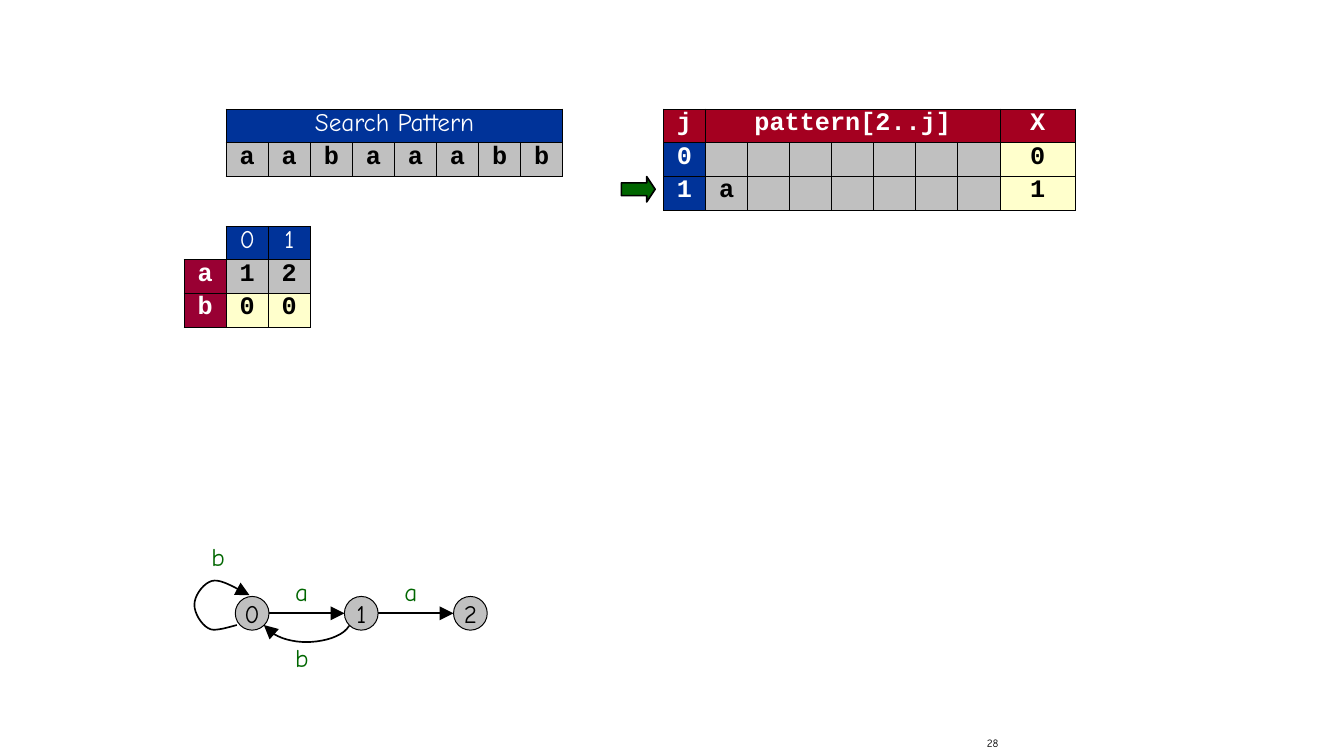
"""Builds a slide on constructing a string-matching automaton."""
from lxml.etree import SubElement
from pptx import Presentation
from pptx.dml.color import RGBColor
from pptx.enum.shapes import MSO_CONNECTOR, MSO_SHAPE
from pptx.enum.text import MSO_ANCHOR, PP_ALIGN
from pptx.oxml import parse_xml
from pptx.oxml.ns import nsdecls, qn
from pptx.util import Cm, Pt

COLORS = {
    "black": "000000", "white": "FFFFFF", "blue": "003399", "grey": "C0C0C0",
    "cream": "FFFFCC", "maroon": "990033", "crimson": "A40020", "green": "006600",
}
HAND, CODE = "Comic Neue", "Courier New"
CELL_STYLES = {
    "title": ("blue", "white", HAND),
    "header": ("crimson", "white", CODE),
    "letter": ("maroon", "white", CODE),
    "index": ("blue", "white", CODE),
    "match": ("grey", "black", CODE),
    "value": ("cream", "black", CODE),
}
NO_TABLE_STYLE = "{2D5ABB26-0587-4C30-8999-92F81FD0307C}"
COLUMN, ROW = 1.06, 0.85
STATE_LEFT, STATE_TOP, STATE_SIZE, STATE_STEP = 5.93, 15.03, 0.85, 2.75


def color(name):
    return RGBColor.from_string(COLORS[name])


class Board:
    def __init__(self, page):
        self.page = page

    def set_text(self, holder, text, ink, font=HAND, size=18, align=PP_ALIGN.CENTER):
        para = holder.text_frame.paragraphs[0]
        para.text = text
        para.alignment = align
        para.font.name = font
        para.font.size = Pt(size)
        para.font.bold = font == CODE
        para.font.color.rgb = color(ink)
        return para

    def clear_margins(self, holder):
        holder.margin_left = holder.margin_right = 0
        holder.margin_top = holder.margin_bottom = 0

    def label(self, text, left, top, width, height, ink="green", size=18):
        box = self.page.shapes.add_textbox(Cm(left), Cm(top), Cm(width), Cm(height))
        self.clear_margins(box.text_frame)
        box.text_frame.word_wrap = False
        para = self.set_text(box, text, ink, size=size, align=PP_ALIGN.LEFT)
        para.space_before = Pt(1)

    def shape(self, kind, left, top, width, height, fill, line_width):
        shape = self.page.shapes.add_shape(kind, Cm(left), Cm(top), Cm(width), Cm(height))
        shape.shadow.inherit = False
        shape.fill.solid()
        shape.fill.fore_color.rgb = color(fill)
        shape.line.color.rgb = color("black")
        shape.line.width = Pt(line_width)
        return shape

    def state(self, name, left):
        circle = self.shape(MSO_SHAPE.OVAL, left, STATE_TOP, STATE_SIZE, STATE_SIZE, "grey", 0.72)
        self.clear_margins(circle.text_frame)
        circle.text_frame.word_wrap = False
        circle.text_frame.vertical_anchor = MSO_ANCHOR.MIDDLE
        self.set_text(circle, name, "black")

    def pointer(self, left, top, width, height):
        arrow = self.shape(MSO_SHAPE.RIGHT_ARROW, left, top, width, height, "green", 1.2)
        arrow.adjustments[0] = 0.5
        arrow.adjustments[1] = 0.33

    def arrowhead(self, line):
        line.line.color.rgb = color("black")
        line.line.width = Pt(1.2)
        outline = line._element.spPr.find(qn("a:ln"))
        SubElement(outline, qn("a:tailEnd"), type="triangle", w="lg", len="lg")

    def straight_arrow(self, start, end, height):
        line = self.page.shapes.add_connector(
            MSO_CONNECTOR.STRAIGHT, Cm(start), Cm(height), Cm(end), Cm(height))
        self.arrowhead(line)
        SubElement(line._element.spPr, qn("a:effectLst"))

    def curved_arrow(self, points, steps=10):
        track = []
        for first in range(0, len(points) - 1, 3):
            segment = points[first:first + 4]
            for step in range(1, steps + 1):
                t = step / steps
                weights = ((1 - t) ** 3, 3 * t * (1 - t) ** 2, 3 * t * t * (1 - t), t ** 3)
                track.append(tuple(
                    Cm(sum(w * point[axis] for w, point in zip(weights, segment)))
                    for axis in (0, 1)))
        start_x, start_y = points[0]
        builder = self.page.shapes.build_freeform(Cm(start_x), Cm(start_y))
        builder.add_line_segments(track, close=False)
        curve = builder.convert_to_shape()
        curve.fill.background()
        curve.shadow.inherit = False
        self.arrowhead(curve)

    def border(self, cell):
        properties = cell._tc.get_or_add_tcPr()
        for position, side in enumerate("LRTB"):
            properties.insert(position, parse_xml(
                f'<a:ln{side} {nsdecls("a")} w="9525"><a:solidFill>'
                f'<a:srgbClr val="{COLORS["black"]}"/></a:solidFill></a:ln{side}>'))

    def table(self, left, top, widths, rows, span=None):
        frame = self.page.shapes.add_table(
            len(rows), len(widths), Cm(left), Cm(top), Cm(sum(widths)), Cm(ROW * len(rows)))
        table = frame.table
        table.first_row = table.horz_banding = False
        table._tbl.tblPr.find(qn("a:tableStyleId")).text = NO_TABLE_STYLE
        for column, width in zip(table.columns, widths):
            column.width = Cm(width)
        for r, row in enumerate(rows):
            table.rows[r].height = Cm(ROW)
            for c, (text, style) in enumerate(row):
                cell = table.cell(r, c)
                self.clear_margins(cell)
                if style is None:
                    cell.fill.background()
                    continue
                fill, ink, font = CELL_STYLES[style]
                cell.fill.solid()
                cell.fill.fore_color.rgb = color(fill)
                self.border(cell)
                para = self.set_text(cell, text, ink, font)
                if font == CODE:
                    para.line_spacing = Pt(20.6)
        if span:
            table.cell(0, span[0]).merge(table.cell(0, span[1]))


def cells(texts, style):
    return [(text, style) for text in texts]


def main():
    deck = Presentation()
    deck.slide_width, deck.slide_height = Cm(33.87), Cm(19.05)
    board = Board(deck.slides.add_slide(deck.slide_layouts[6]))

    for number in range(3):
        left = STATE_LEFT + number * STATE_STEP
        board.state(str(number), left)
        if number < 2:
            board.straight_arrow(left + STATE_SIZE, left + STATE_STEP, STATE_TOP + STATE_SIZE / 2)
            board.label("a", 7.44 + number * STATE_STEP, 14.53, 0.41, 0.84)
    board.curved_arrow([
        (8.8, 15.77), (8.64, 16.05), (8.13, 16.18), (7.72, 16.18),
        (7.32, 16.18), (6.86, 16.05), (6.65, 15.75)])
    board.curved_arrow([
        (5.97, 15.75), (5.72, 15.82), (5.54, 15.87), (5.38, 15.87),
        (5.16, 15.87), (4.9, 15.5), (4.9, 15.24), (4.9, 14.98), (5.18, 14.63),
        (5.41, 14.63), (5.64, 14.63), (5.9, 14.8), (6.29, 15)])
    board.label("b", 7.44, 16.18, 0.46, 0.84)
    board.label("b", 5.33, 13.64, 0.46, 0.84)

    board.table(4.64, 5.7, [COLUMN] * 3, [
        [("", None)] + cells("01", "title"),
        [("a", "letter")] + cells("12", "match"),
        [("b", "letter")] + cells("00", "value"),
    ])
    board.table(5.7, 2.75, [COLUMN] * 8, [
        cells(["Search Pattern"] + [""] * 7, "title"),
        cells("aabaaabb", "match"),
    ], span=(0, 7))
    board.table(16.72, 2.75, [COLUMN] * 8 + [1.9], [
        cells(["j", "pattern[2..j]"] + [""] * 6 + ["X"], "header"),
        [("0", "index")] + cells([""] * 7, "match") + [("0", "value")],
        [("1", "index")] + cells(["a"] + [""] * 6, "match") + [("1", "value")],
    ], span=(1, 7))
    board.pointer(15.66, 4.45, 0.85, 0.64)
    board.label("28", 24.87, 18.55, 0.48, 0.46, ink="black", size=8)
    deck.save("out.pptx")


if __name__ == "__main__":
    main()
